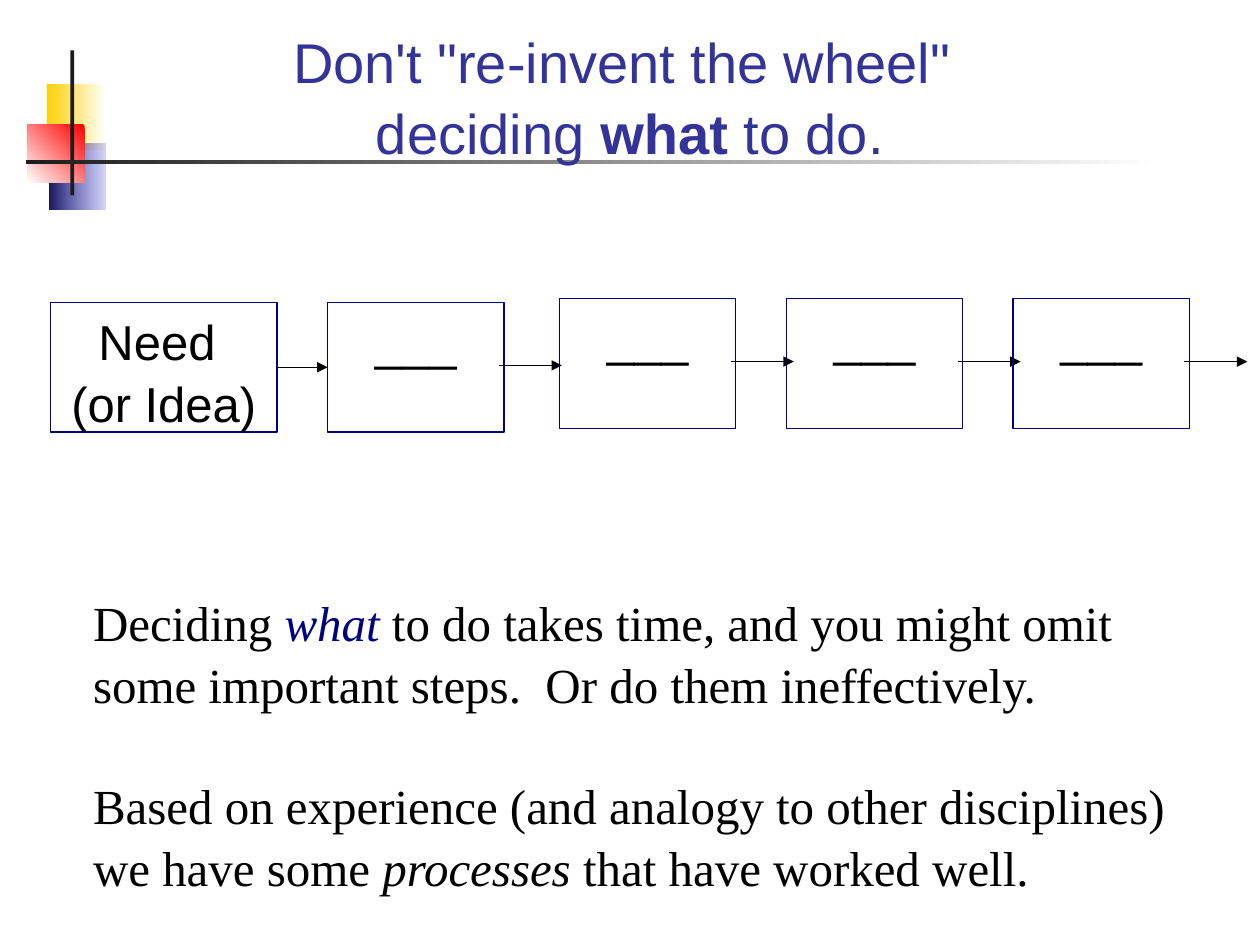
from pptx import Presentation
from pptx.dml.color import RGBColor
from pptx.enum.shapes import MSO_CONNECTOR, MSO_SHAPE
from pptx.enum.text import MSO_ANCHOR, PP_ALIGN
from pptx.oxml.ns import qn
from pptx.util import Inches, Pt
from lxml import etree

RECT = MSO_SHAPE.RECTANGLE
STRAIGHT = MSO_CONNECTOR.STRAIGHT
TOP, MIDDLE = MSO_ANCHOR.TOP, MSO_ANCHOR.MIDDLE
LEFT, CENTER = PP_ALIGN.LEFT, PP_ALIGN.CENTER

WIDTH, HEIGHT = 10, 7.5
BOX_W, BOX_H = 1.4, 1.03
STEP_LEFT, STEP_PITCH, STEP_TOP = 4.44, 1.8, 2.37
NAVY, BLACK, TITLE_BLUE = "000080", "000000", "333399"


def rgb(value):
    return RGBColor.from_string(value)


def add_text(tf, paragraphs, size, font, color=BLACK, align=LEFT,
             anchor=TOP, gap=0, spacing=1.05):
    tf.word_wrap = True
    tf.vertical_anchor = anchor
    for i, runs in enumerate(paragraphs):
        p = tf.paragraphs[0] if i == 0 else tf.add_paragraph()
        p.alignment = align
        p.line_spacing = spacing
        if i:
            p.space_before = Pt(gap)
        for text, style in runs:
            for j, line in enumerate(text.split("\n")):
                if j:
                    p.add_line_break()
                r = p.add_run()
                r.text = line
                r.font.size, r.font.name = Pt(size), font
                r.font.bold = style.get("bold", False)
                r.font.italic = style.get("italic", False)
                r.font.color.rgb = rgb(style.get("color", color))


def add_rect(s, x, y, w, h):
    sp = s.shapes.add_shape(RECT, Inches(x), Inches(y), Inches(w), Inches(h))
    sp.shadow.inherit = False
    return sp


def add_solid(s, x, y, w, h, color):
    sp = add_rect(s, x, y, w, h)
    sp.fill.solid()
    sp.fill.fore_color.rgb = rgb(color)
    sp.line.fill.background()


def add_gradient(s, x, y, w, h, start, end, angle=180, opacity=100):
    sp = add_rect(s, x, y, w, h)
    sp.line.fill.background()
    sp.fill.gradient()
    sp.fill.gradient_angle = angle
    for stop, color in zip(sp.fill.gradient_stops, (start, end)):
        stop.color.rgb = rgb(color)
    if opacity < 100:
        clr = next(sp.element.spPr.iter(qn("a:srgbClr")))
        etree.SubElement(clr, qn("a:alpha"), val=str(opacity * 1000))


def add_box(s, x, y, w, text):
    sp = add_rect(s, x, y, w, BOX_H)
    sp.fill.background()
    sp.line.color.rgb = rgb(NAVY)
    sp.line.width = Pt(0.75)
    add_text(sp.text_frame, [[(text, {})]], 28, "Arial", align=CENTER)
    return sp


def add_textbox(s, x, y, w, h, paragraphs, size, font, **fmt):
    tb = s.shapes.add_textbox(Inches(x), Inches(y), Inches(w), Inches(h))
    add_text(tb.text_frame, paragraphs, size, font, **fmt)


def add_arrow(s, x, y, length):
    c = s.shapes.add_connector(STRAIGHT, Inches(x), Inches(y),
                               Inches(x + length), Inches(y))
    c.line.color.rgb = rgb(BLACK)
    c.line.width = Pt(0.75)
    etree.SubElement(c.line._get_or_add_ln(), qn("a:tailEnd"), type="triangle")
    etree.SubElement(c.element.spPr, qn("a:effectLst"))
    return c


def add_decoration(s):
    add_gradient(s, 0.37, 0.67, 0.47, 0.52, "FFFFFF", "FFCF01")
    add_gradient(s, 0.39, 1.14, 0.45, 0.52, "3333CC", "17175E", opacity=20)
    add_gradient(s, 0.22, 0.99, 0.45, 0.46, "FF0000", "FFFFFF", angle=225)
    add_solid(s, 0.56, 0.4, 0.03, 1.15, "1C1C1C")
    add_gradient(s, 0.21, 1.27, 8.99, 0.03, "FFFFFF", "1C1C1C")


def add_process(s):
    need = add_box(s, 0.4, 2.4, 1.8, "Need \n(or Idea)")
    first = add_box(s, 2.6, 2.4, BOX_W, "___")
    link = add_arrow(s, 2.2, 2.9, 0.4)
    link.begin_connect(need, 3)
    link.end_connect(first, 1)
    add_arrow(s, 3.96, 2.9, 0.5)
    for i in range(3):
        x = STEP_LEFT + i * STEP_PITCH
        add_box(s, x, STEP_TOP, BOX_W, "___")
        add_arrow(s, x + BOX_W - 0.04, STEP_TOP + 0.5, 0.5)


def main():
    prs = Presentation()
    prs.slide_width, prs.slide_height = Inches(WIDTH), Inches(HEIGHT)
    s = prs.slides.add_slide(prs.slide_layouts[6])
    add_decoration(s)
    title = [[("Don't \"re-invent the wheel\" \ndeciding ", {}),
              ("what", {"bold": True}), (" to do.", {})]]
    add_textbox(s, 0.67, 0.17, 8.66, 1.17, title, 32, "Arial",
                color=TITLE_BLUE, align=CENTER, anchor=MIDDLE)
    add_process(s)
    body = [[("Deciding ", {}), ("what", {"italic": True, "color": NAVY}),
             (" to do takes time, and you might omit some important steps."
              "  Or do them ineffectively.", {})],
            [("Based on experience (and analogy to other disciplines) "
              "we have some ", {}), ("processes", {"italic": True}),
             (" that have worked well.", {})]]
    add_textbox(s, 0.64, 4.63, 8.97, 2.43, body, 28, "Times New Roman", gap=34)
    prs.save("out.pptx")


if __name__ == "__main__":
    main()
